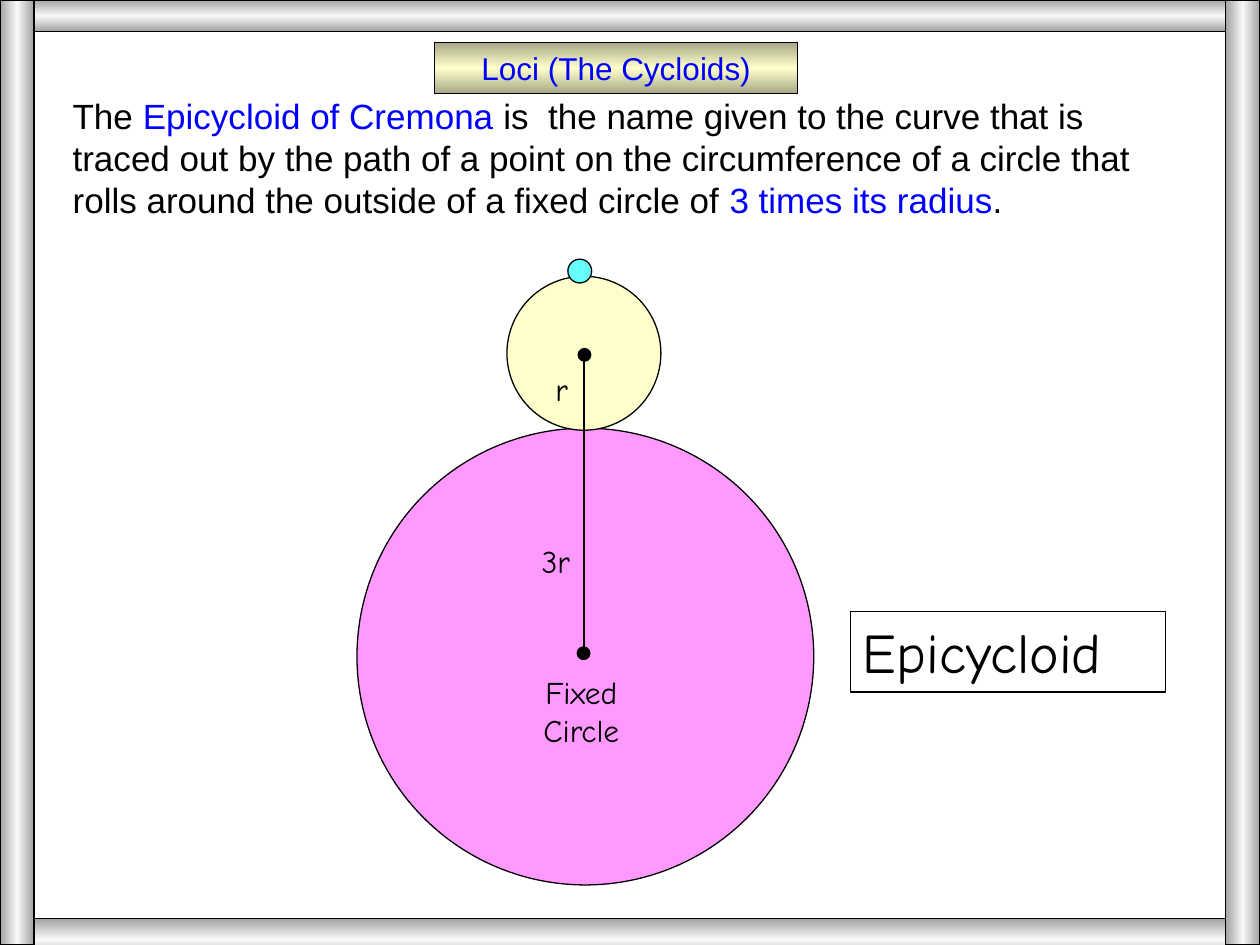
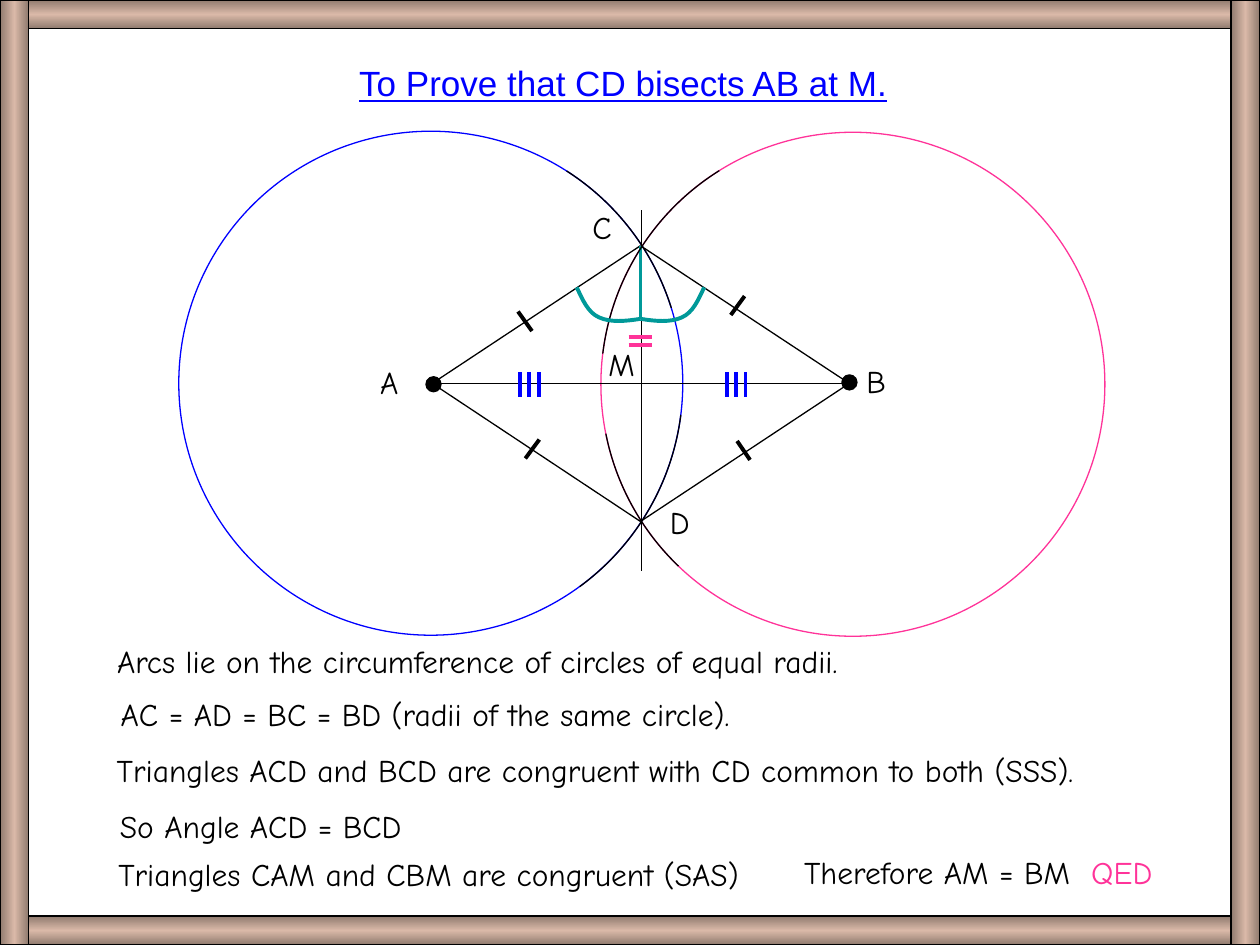
from copy import deepcopy
from math import cos, radians, sin, tan

from lxml import etree
from pptx import Presentation
from pptx.dml.color import RGBColor
from pptx.enum.shapes import MSO_CONNECTOR, MSO_SHAPE
from pptx.enum.text import PP_ALIGN
from pptx.oxml.ns import qn
from pptx.util import Pt

STRAIGHT = MSO_CONNECTOR.STRAIGHT
OVAL, RECTANGLE = MSO_SHAPE.OVAL, MSO_SHAPE.RECTANGLE
LEFT, CENTER = PP_ALIGN.LEFT, PP_ALIGN.CENTER

COLORS = {
    "black": "000000", "blue": "0000FF", "pink": "FF3399", "teal": "009999",
    "violet": "FF99FF", "cream": "FFFFCC", "cyan": "66FFFF", "olive": "A8A886",
    "grey": "A3A3A3", "silver": "F8F8F8", "brown": "8F7A6E", "tan": "DAB9A8",
}
RGB = {name: RGBColor.from_string(value) for name, value in COLORS.items()}
HAND, PLAIN = "Comic Neue", "Arial"
WIDTH, HEIGHT = 720, 540


def style(shape, fill=None, line="black", weight=0.75, angle=90):
    """Set fill and outline; a pair of colours gives an edge-middle-edge gradient."""
    if fill is None:
        shape.fill.background()
    elif isinstance(fill, tuple):
        edge, middle = fill
        shape.fill.gradient()
        shape.fill.gradient_angle = angle
        stop_list = shape.element.spPr.find(".//" + qn("a:gsLst"))
        stop_list.append(deepcopy(stop_list[0]))
        places = zip(shape.fill.gradient_stops, (0, 0.5, 1), (edge, middle, edge))
        for stop, position, color in places:
            stop.position = position
            stop.color.rgb = RGB[color]
    else:
        shape.fill.solid()
        shape.fill.fore_color.rgb = RGB[fill]
    shape.line.color.rgb = RGB[line]
    shape.line.width = Pt(weight)
    shape.shadow.inherit = False


def write(page, text, left, top, width, height=29, font=HAND, size=18,
          color="black", accent="blue", align=LEFT, underline=False):
    """Add a text box; parts of the text between asterisks take the accent colour."""
    box = page.shapes.add_textbox(Pt(left), Pt(top), Pt(width), Pt(height))
    box.text_frame.word_wrap = True
    para = box.text_frame.paragraphs[0]
    para.alignment = align
    for index, part in enumerate(text.split("*")):
        if part:
            span = para.add_run()
            span.text = part
            span.font.name = font
            span.font.size = Pt(size)
            span.font.underline = underline
            span.font.color.rgb = RGB[accent if index % 2 else color]
    return box


deck = Presentation()
deck.slide_width, deck.slide_height = Pt(WIDTH), Pt(HEIGHT)
cycloid, proof = [deck.slides.add_slide(deck.slide_layouts[6]) for _ in range(2)]

# Frames: top, foot and side bands
frames = [
    (cycloid, ("grey", "silver"), 18, 525, 24, 19.5),
    (proof, ("brown", "tan"), 16.5, 523.5, 16.5, 16.5),
]
for page, shades, top_height, foot_top, foot_height, side in frames:
    bands = [
        (0, 0, WIDTH, top_height, 90),
        (0, foot_top, WIDTH, foot_height, 90),
        (0, 0, side, HEIGHT, 0),
        (WIDTH - side, 0, side, HEIGHT, 0),
    ]
    for *place, angle in bands:
        band = page.shapes.add_shape(RECTANGLE, *map(Pt, place))
        style(band, shades, angle=angle)

# Circles and dots: centre, radius, fill, line
circle_a, circle_b, radius = (246.2, 219), (487.4, 219.6), 144
circles = [
    (cycloid, (334.5, 375.2), 130.5, "violet", "black"),
    (cycloid, (333.7, 201.9), 44, "cream", "black"),
    (cycloid, (331.3, 154.9), 6.8, "cyan", "black"),
    (cycloid, (333.5, 373.3), 3.6, "black", "black"),
    (cycloid, (334, 202.8), 3.6, "black", "black"),
    (proof, circle_a, radius, None, "blue"),
    (proof, circle_b, radius, None, "pink"),
    (proof, (247.7, 219.6), 4.3, "black", "black"),
    (proof, (485.4, 218.5), 4.3, "black", "black"),
]
for page, (x, y), size, fill, line in circles:
    circle = page.shapes.add_shape(
        OVAL, Pt(x - size), Pt(y - size), Pt(2 * size), Pt(2 * size))
    style(circle, fill, line)

# Straight lines: start, end, colour, weight
point_a, point_b = (247, 219.1), (485.3, 219.1)
point_c, point_d = (366, 140.4), (366, 298)
lines = [(cycloid, (333.8, 201.6), (333.8, 374.4), "black", 1.5)]
for start, end in [(point_a, point_c), (point_c, point_b), (point_b, point_d),
                   (point_d, point_a), (point_a, point_b),
                   ((366.4, 120.2), (366.4, 326.2))]:
    lines.append((proof, start, end, "black", 0.75))
for start, end in [((296, 178), (304, 189.2)), ((300.2, 262), (308.2, 251.2)),
                   ((421.2, 252), (428.6, 262.8)), ((417.6, 180), (425.5, 169.2))]:
    lines.append((proof, start, end, "black", 2.25))
for first_x in (297.2, 415.4):
    for mark in range(3):
        x = first_x + 5.3 * mark
        lines.append((proof, (x, 212.8), (x, 226.8), "blue", 2.25))
for y in (192.5, 197.1):
    lines.append((proof, (359.2, y), (372.4, y), "pink", 2.25))
lines.append((proof, point_c, (366, 182.2), "teal", 2.25))
for page, start, end, color, weight in lines:
    line = page.shapes.add_connector(STRAIGHT, *map(Pt, start + end))
    line.line.color.rgb = RGB[color]
    line.line.width = Pt(weight)
    etree.SubElement(line.element.spPr, qn("a:effectLst"))

# Compass arcs through C and D, each one cubic curve: start, two handles, end
curves = []
for (x, y), first, last in [(circle_a, -57.4, -17.4), (circle_b, 238, 187),
                            (circle_b, 168.7, 133.8), (circle_a, 7.2, 53.8)]:
    start, end = radians(first), radians(last)
    handle = 4 / 3 * tan((end - start) / 4)
    units = [
        (cos(start), sin(start)),
        (cos(start) - handle * sin(start), sin(start) + handle * cos(start)),
        (cos(end) + handle * sin(end), sin(end) - handle * cos(end)),
        (cos(end), sin(end)),
    ]
    arc = [(x + radius * across, y + radius * down) for across, down in units]
    curves.append((arc, "black", 0.75))

# Equal angles at C, mirrored about CD
angle_mark = [(36.4, 164.2), (33, 171.4), (30, 178.6), (23.6, 181.4),
              (17.2, 184.3), (8.6, 183.6), (0, 182.2)]
for side in (-1, 1):
    mirrored = [(point_c[0] + side * offset, y) for offset, y in angle_mark]
    curves.append((mirrored, "teal", 2.25))

for points, color, weight in curves:
    start, *rest = [(Pt(x), Pt(y)) for x, y in points]
    builder = proof.shapes.build_freeform(*start)
    builder.add_line_segments(rest, close=False)
    curve = builder.convert_to_shape()
    segments = curve.element.spPr.findall(".//" + qn("a:lnTo"))
    outline = segments[0].getparent()
    for first in range(0, len(segments), 3):
        bezier = etree.SubElement(outline, qn("a:cubicBezTo"))
        for segment in segments[first:first + 3]:
            bezier.append(segment[0])
            outline.remove(segment)
    style(curve, line=color, weight=weight)

# Cycloid texts
write(cycloid, "3r", 302.4, 306, 47)
write(cycloid, "r", 310.3, 207.7, 47)
write(cycloid, "Fixed Circle", 283.7, 380.9, 97, 50, align=CENTER)
write(cycloid, "The *Epicycloid of Cremona* is  the name given to the curve that is "
      "traced out by the path of a point on the circumference of a circle that rolls "
      "around the outside of a fixed circle of *3 times its radius*.",
      34.4, 50.4, 636, 79, font=PLAIN, size=20)
heading = write(cycloid, "Loci (The Cycloids)", 248.4, 24.4, 207.3, font=PLAIN,
                color="blue", align=CENTER)
style(heading, ("olive", "cream"))
style(write(cycloid, "Epicycloid", 486, 349.5, 180, 46, size=32))

# Proof texts
write(proof, "To Prove that CD bisects AB at M.", 183, 31.7, 346.3, 32, font=PLAIN,
      size=20, color="blue", align=CENTER, underline=True)
for letter, left, top, width in [
    ("A", 210.2, 203.9, 47), ("B", 488, 203.3, 47), ("C", 331.4, 115.5, 42),
    ("D", 375.8, 283.7, 42), ("M", 340.6, 193.7, 33),
]:
    write(proof, letter, left, top, width)
for step, left, top, width in [
    ("Arcs lie on the circumference of circles of equal radii.", 59.8, 363.2, 495),
    ("AC = AD = BC = BD (radii of the same circle).", 61.9, 393.8, 495),
    ("Triangles ACD and BCD are congruent with CD common to both (SSS).",
     59.6, 425.5, 641),
    ("So Angle ACD = BCD", 61.4, 457.5, 222),
    ("Triangles CAM and CBM are congruent (SAS)", 60.5, 485.3, 433),
    ("Therefore AM = BM  *QED*", 452.4, 483.8, 238),
]:
    write(proof, step, left, top, width, accent="pink")

deck.save("out.pptx")
